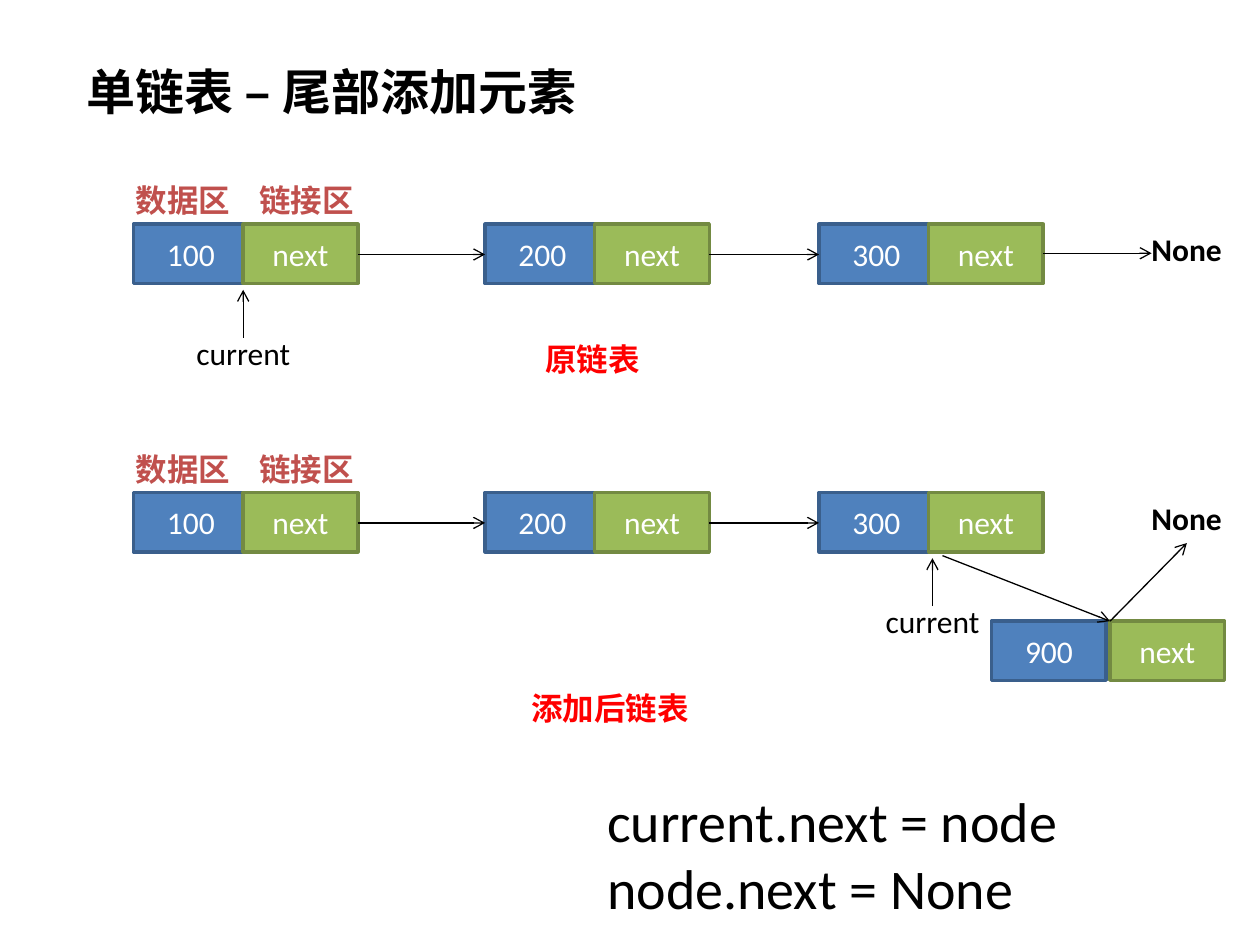
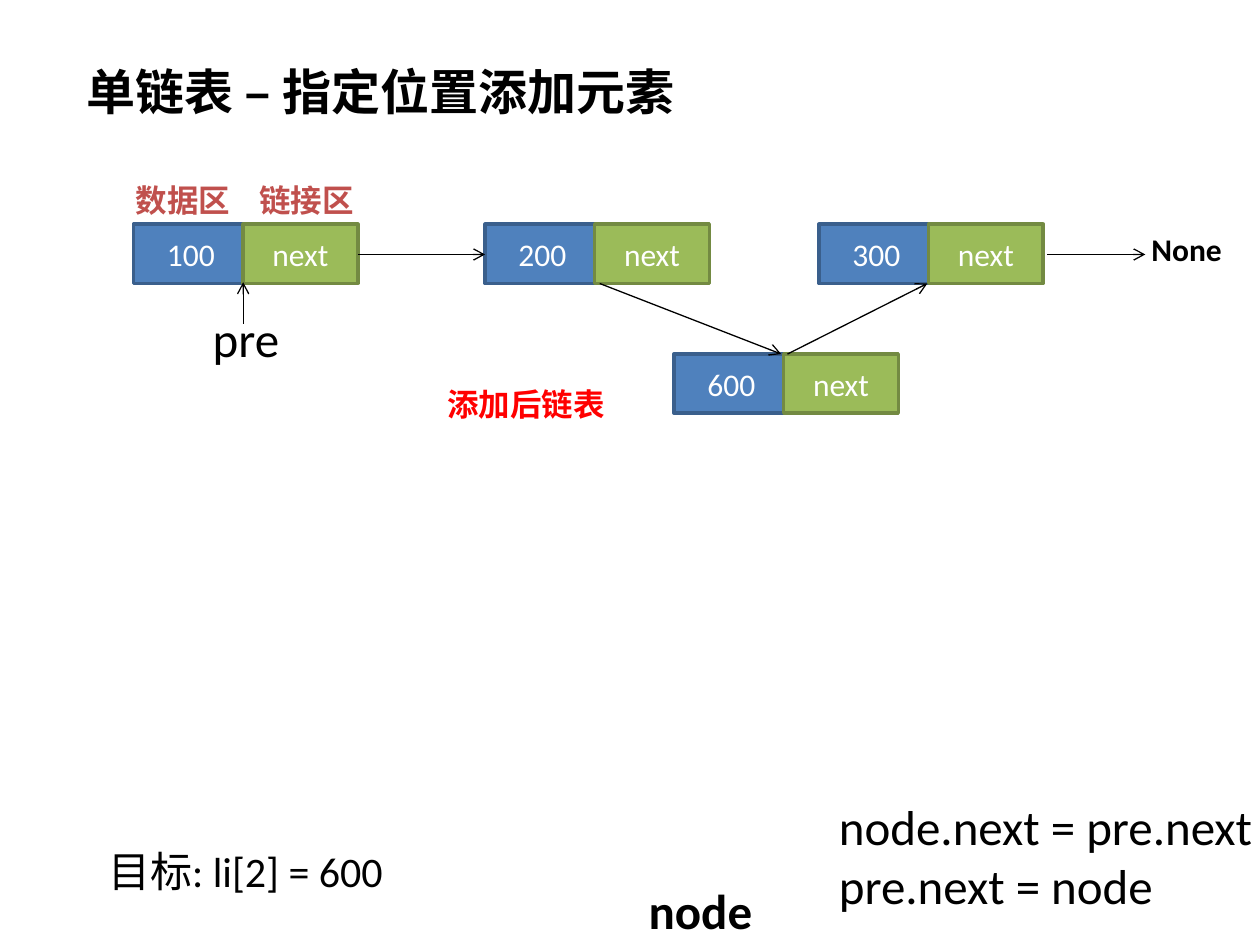
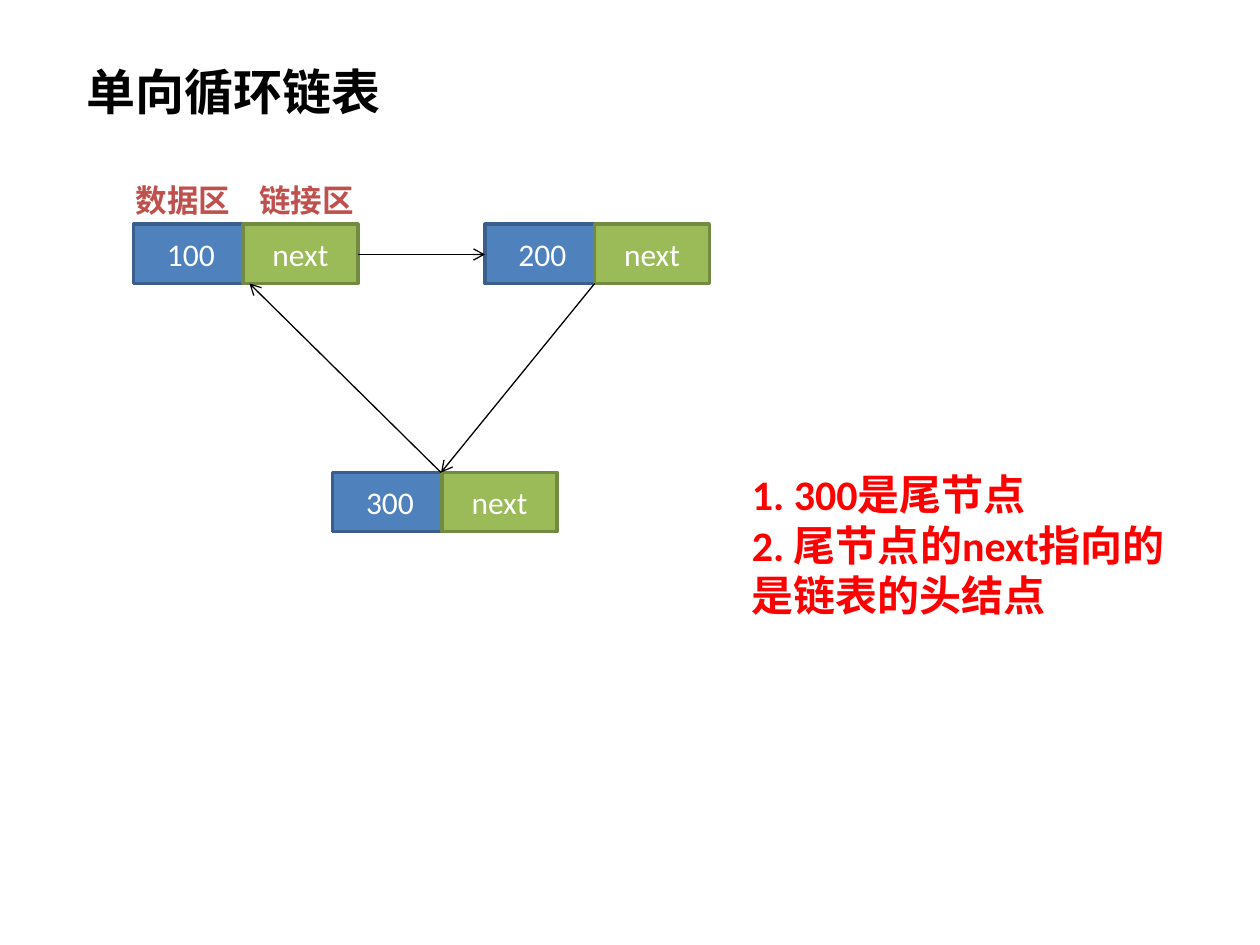
from lxml.etree import SubElement
from pptx import Presentation
from pptx.dml.color import RGBColor
from pptx.enum.shapes import MSO_CONNECTOR, MSO_SHAPE
from pptx.enum.text import MSO_ANCHOR, MSO_AUTO_SIZE, PP_ALIGN
from pptx.oxml.ns import qn
from pptx.util import Inches, Pt

COLORS = {
    "ink": "000000", "white": "FFFFFF", "red": "FF0000", "tag": "C0504D",
    "data": "4F81BD", "data_edge": "3A5F8C",
    "next": "9BBB59", "next_edge": "738A42",
}
FONT = "Calibri"
CELL_W, CELL_H, STEP = 0.91, 0.47, 0.87
COLUMNS = (1.06, 3.85, 6.5)
TOP = 1.78


def color(name):
    return RGBColor.from_string(COLORS[name])


class Deck:
    def __init__(self):
        self.prs = Presentation()
        self.prs.slide_width = Inches(10)
        self.prs.slide_height = Inches(7.5)
        self.slide = None

    def style(self, frame, size, ink, bold=False, align=PP_ALIGN.LEFT):
        for para in frame.paragraphs:
            para.alignment = align
            for run in para.runs:
                run.font.name = FONT
                run.font.size = Pt(size)
                run.font.bold = bold
                run.font.color.rgb = color(ink)

    def start(self, title, width):
        """Add a slide with its title."""
        self.slide = self.prs.slides.add_slide(self.prs.slide_layouts[5])
        head = self.slide.shapes.title
        head.left, head.top = Inches(0.59), Inches(0.44)
        head.width, head.height = Inches(width), Inches(0.57)
        frame = head.text_frame
        frame.text = title
        frame.word_wrap = False
        frame.auto_size = MSO_AUTO_SIZE.NONE
        frame.vertical_anchor = MSO_ANCHOR.TOP
        self.style(frame, 28, "ink", bold=True)

    def text(self, words, left, top, width, height=0.4, size=18, ink="ink",
             bold=False, wrap=False):
        box = self.slide.shapes.add_textbox(
            Inches(left), Inches(top), Inches(width), Inches(height))
        frame = box.text_frame
        frame.text = words
        frame.word_wrap = wrap
        self.style(frame, size, ink, bold)
        return frame

    def cell(self, words, left, top, kind):
        box = self.slide.shapes.add_shape(
            MSO_SHAPE.RECTANGLE, Inches(left), Inches(top),
            Inches(CELL_W), Inches(CELL_H))
        box.shadow.inherit = False
        box.fill.solid()
        box.fill.fore_color.rgb = color(kind)
        box.line.color.rgb = color(kind + "_edge")
        box.line.width = Pt(2)
        frame = box.text_frame
        frame.text = words
        frame.vertical_anchor = MSO_ANCHOR.MIDDLE
        self.style(frame, 18, "white", align=PP_ALIGN.CENTER)

    def node(self, value, left, top, step=STEP):
        self.cell(value, left, top, "data")
        self.cell("next", left + step, top, "next")

    def arrow(self, x1, y1, x2, y2):
        line = self.slide.shapes.add_connector(
            MSO_CONNECTOR.STRAIGHT,
            Inches(x1), Inches(y1), Inches(x2), Inches(y2))
        line.line.color.rgb = color("ink")
        line.line.width = Pt(0.75)
        props = line.element.spPr
        SubElement(props.find(qn("a:ln")), qn("a:tailEnd"), type="arrow")
        SubElement(props, qn("a:effectLst"))

    def chain(self, top, values, links):
        """Draw a row of nodes, the first few of them linked, with zone tags."""
        for left, value in zip(COLUMNS, values):
            self.node(value, left, top)
        for left, right in list(zip(COLUMNS, COLUMNS[1:]))[:links]:
            self.arrow(left + STEP + CELL_W, top + 0.24, right, top + 0.24)
        frame = self.text("数据区\t链接区", 0.98, top - 0.39, 1.95,
                          ink="tag", bold=True)
        props = frame.paragraphs[0]._p.get_or_add_pPr()
        tabs = SubElement(props, qn("a:tabLst"))
        SubElement(tabs, qn("a:tab"), pos=str(Inches(0.98)), algn="l")

    def none(self, top):
        self.text("None", 9.04, top, 0.76, bold=True)

    def current(self, x, top):
        """Mark the current node of the row at this top."""
        self.arrow(x, top + 0.9, x, top + 0.52)
        self.text("current", x - 0.47, top + 0.82, 1.03, wrap=True)

    def note(self, words, left, top, width):
        self.text(words, left, top, width, ink="red", bold=True)


def append(deck):
    deck.start("单链表 – 尾部添加元素", 4.13)
    after = 3.91
    for top, x in ((TOP, 1.93), (after, 7.4)):
        deck.chain(top, ("100", "200", "300"), links=2)
        deck.none(top)
        deck.current(x, top)
    deck.arrow(8.28, 2.01, 9.14, 2.01)
    deck.node("900", 7.87, 4.93, step=0.94)
    deck.arrow(7.48, 4.41, 8.81, 4.93)
    deck.arrow(8.81, 4.93, 9.42, 4.31)
    deck.note("原链表", 4.23, 2.65, 0.96)
    deck.note("添加后链表", 4.12, 5.42, 1.47)
    deck.text("current.next = node\nnode.next = None",
              4.72, 6.19, 5.58, 1.18, size=32, wrap=True)


def insert(deck):
    deck.start("单链表 – 指定位置添加元素", 4.92)
    deck.chain(TOP, ("100", "200", "300"), links=1)
    deck.none(TOP)
    deck.arrow(8.31, 2.02, 9.09, 2.02)
    deck.node("600", 5.35, 2.81)
    deck.arrow(4.76, 2.25, 6.2, 2.81)
    deck.arrow(6.25, 2.81, 7.36, 2.25)
    deck.arrow(1.93, 2.57, 1.93, 2.24)
    deck.text("pre", 1.59, 2.4, 0.73, 0.57, size=28)
    deck.note("添加后链表", 3.45, 3.01, 1.56)
    deck.text("目标: li[2] = 600", 0.76, 6.66, 2.4, 0.5, size=24, wrap=True)
    deck.text("node", 5.05, 6.94, 1.03, 0.57, size=28, bold=True)
    deck.text("node.next = pre.next\npre.next = node",
              6.56, 6.27, 4.09, 1.04, size=28, wrap=True)


def circle(deck):
    deck.start("单向循环链表", 2.57)
    deck.chain(TOP, ("100", "200"), links=1)
    deck.node("300", 2.64, 3.75)
    deck.arrow(4.72, 2.25, 3.5, 3.75)
    deck.arrow(3.5, 3.75, 1.98, 2.25)
    deck.text("1. 300是尾节点\n2. 尾节点的next指向的是链表的头结点",
              5.87, 3.67, 3.7, 1.31, size=24, ink="red", bold=True, wrap=True)


def main():
    deck = Deck()
    append(deck)
    insert(deck)
    circle(deck)
    deck.prs.save("out.pptx")


if __name__ == "__main__":
    main()
